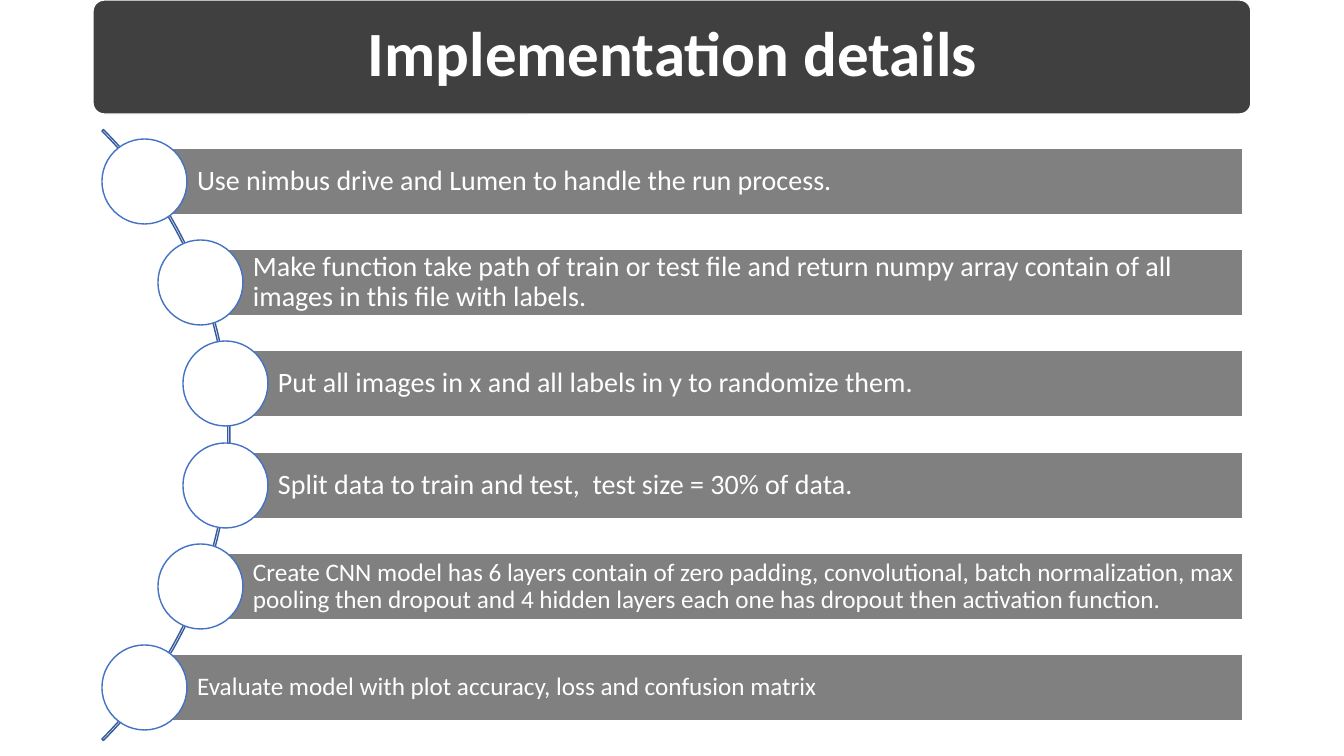
from dataclasses import dataclass

from pptx import Presentation
from pptx.dml.color import RGBColor
from pptx.enum.shapes import MSO_SHAPE as Preset
from pptx.enum.text import MSO_ANCHOR as Anchor, MSO_AUTO_SIZE as AutoSize, PP_ALIGN as Align
from pptx.util import Emu, Pt


@dataclass
class Theme:
    font: str = "Calibri"
    white: str = "FFFFFF"
    banner: str = "404040"
    bar: str = "808080"
    blue: str = "4472C4"
    arc: str = "365B9D"
    title_size: int = 45
    step_size: int = 20
    long_step_size: int = 18


theme = Theme()
EMU_PER_PX = 914400 / 100.8


def px(length):
    return Emu(round(length * EMU_PER_PX))


def add_part(preset, left, top, width, height, fill, line):
    part = slide.shapes.add_shape(preset, px(left), px(top), px(width), px(height))
    part.shadow.inherit = False
    if fill:
        part.fill.solid()
        part.fill.fore_color.rgb = RGBColor.from_string(fill)
    else:
        part.fill.background()
    part.line.color.rgb = RGBColor.from_string(line)
    part.line.width = Pt(1)
    return part


def write(part, text, size, align, insets, bold=False):
    frame = part.text_frame
    frame.word_wrap = True
    frame.auto_size = AutoSize.NONE
    frame.vertical_anchor = Anchor.MIDDLE
    frame.margin_left, frame.margin_top, frame.margin_right, frame.margin_bottom = map(px, insets)
    paragraph = frame.paragraphs[0]
    paragraph.alignment = align
    paragraph.line_spacing = 0.9
    run = paragraph.add_run()
    run.text = text
    run.font.name = theme.font
    run.font.size = Pt(size)
    run.font.bold = bold
    run.font.color.rgb = RGBColor.from_string(theme.white)


deck = Presentation()
deck.slide_width, deck.slide_height = px(1344), px(756)
slide = deck.slides.add_slide(deck.slide_layouts[5])

# Title on its dark banner
banner = add_part(Preset.ROUNDED_RECTANGLE, 93, 0, 1158, 114, theme.banner, theme.white)
banner.adjustments[0] = 0.1
title = slide.shapes.title
title.left, title.top, title.width, title.height = px(97), px(3), px(1151), px(107)
write(title, "Implementation details", theme.title_size, Align.CENTER, (19, 19, 19, 19), bold=True)
banner._element.addnext(title._element)

# Thin arc behind the steps: start angle, end angle, thickness
arc = add_part(Preset.BLOCK_ARC, -634, 3, 864, 864, None, theme.arc)
for index, value in enumerate((189, 27, 0.0025)):
    arc.adjustments[index] = value

# Steps: a bar that starts at the centre of its circle
steps = [
    (144, theme.step_size, "Use nimbus drive and Lumen to handle the run process."),
    (200, theme.step_size, "Make function take path of train or test file and return numpy array "
                           "contain of all images in this file with labels."),
    (225, theme.step_size, "Put all images in x and all labels in y to randomize them."),
    (225, theme.step_size, "Split data to train and test,  test size = 30% of data."),
    (200, theme.long_step_size, "Create CNN model has 6 layers contain of zero padding, convolutional, "
                                "batch normalization, max pooling then dropout and 4 hidden layers "
                                "each one has dropout then activation function."),
    (144, theme.long_step_size, "Evaluate model with plot accuracy, loss and confusion matrix"),
]
BAR_RIGHT, BAR_HEIGHT, CIRCLE = 1243, 67, 85
FIRST_TOP, LAST_TOP = 148, 654
pitch = (LAST_TOP - FIRST_TOP) / (len(steps) - 1)

for row, (center, size, text) in enumerate(steps):
    top = round(FIRST_TOP + row * pitch)
    bar = add_part(Preset.RECTANGLE, center, top, BAR_RIGHT - center, BAR_HEIGHT, theme.bar, theme.white)
    write(bar, text, size, Align.LEFT, (53, 5, 5, 5))
    add_part(Preset.OVAL, center - CIRCLE // 2, top - (CIRCLE - BAR_HEIGHT) // 2,
             CIRCLE, CIRCLE, theme.white, theme.blue)

deck.save("out.pptx")
